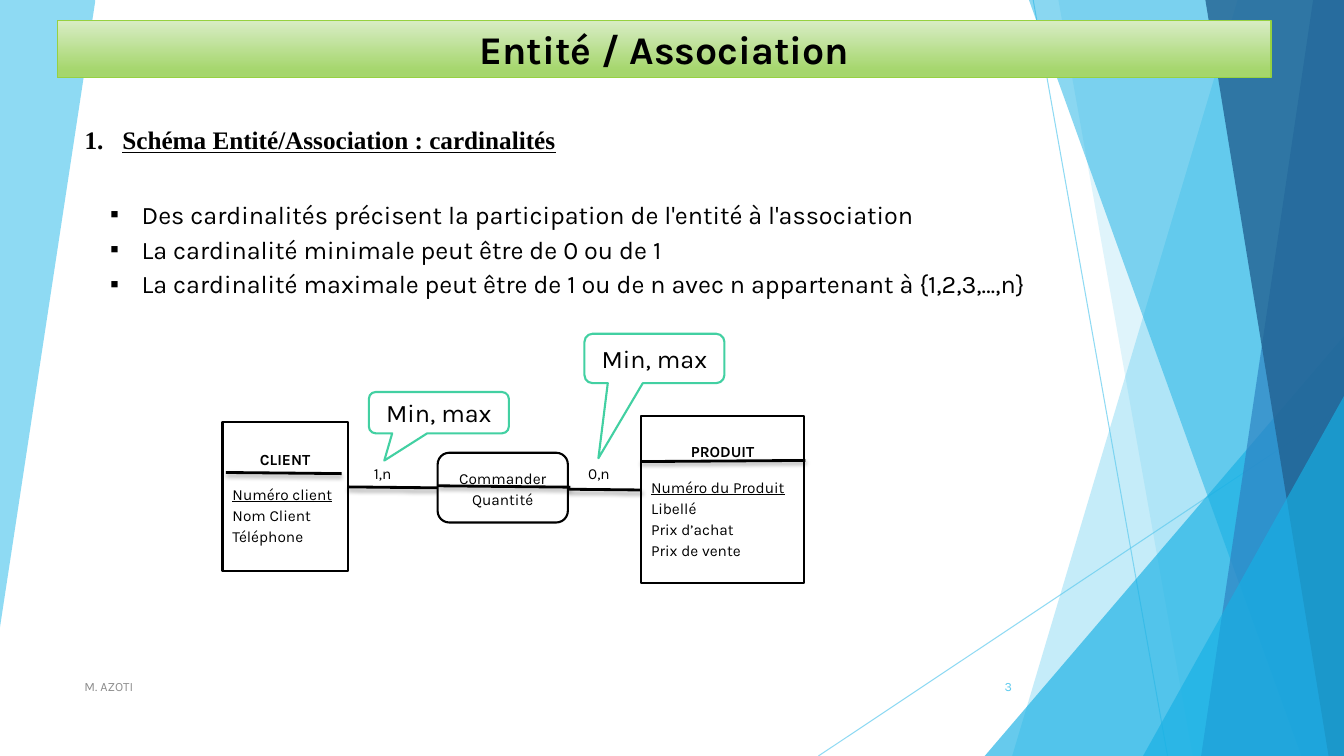
from lxml.etree import SubElement
from pptx import Presentation
from pptx.dml.color import RGBColor
from pptx.enum.shapes import MSO_CONNECTOR as Connector, MSO_SHAPE as Preset
from pptx.enum.text import MSO_ANCHOR as Anchor, MSO_AUTO_SIZE as AutoSize, PP_ALIGN as Align
from pptx.oxml.ns import qn
from pptx.util import Pt

WIDTH, HEIGHT = 960, 540
COLORS = {
    "black": "000000", "white": "FFFFFF", "grey": "8C8C8C",
    "sky": "5FCBEF", "azure": "17B0E4", "blue": "2E83C3", "navy": "226292",
    "mint": "42D0A2", "lime": "96D141", "lime_pale": "D8ECC5", "lime_mid": "A5D66C",
}


def rgb(name):
    return RGBColor.from_string(COLORS[name])


def set_alpha(element, percent):
    for color in element.iter(qn("a:srgbClr")):
        SubElement(color, qn("a:alpha"), val=str(percent * 1000))


class Board:
    """Draws styled elements on one slide, all lengths in points."""

    font = "Karla"

    def __init__(self, slide):
        self.slide = slide
        self.shapes = slide.shapes

    def place(self, shape, box):
        shape.left, shape.top, shape.width, shape.height = map(Pt, box)

    def paint(self, shape, fill, line=None, alpha=None):
        shape.shadow.inherit = False
        shape.fill.solid()
        shape.fill.fore_color.rgb = rgb(fill)
        if alpha:
            set_alpha(shape.element.spPr, alpha)
        if line:
            shape.line.color.rgb = rgb(line)
            shape.line.width = Pt(1.5)
        else:
            shape.line.fill.background()
        return shape

    def polygon(self, points, fill, alpha):
        start, *others = [(Pt(x), Pt(y)) for x, y in points]
        builder = self.shapes.build_freeform(*start)
        builder.add_line_segments(others, close=True)
        self.paint(builder.convert_to_shape(), fill, alpha=alpha)

    def preset(self, kind, box, fill="white", line=None, alpha=None, adjustments=()):
        shape = self.shapes.add_shape(kind, *map(Pt, box))
        for index, value in enumerate(adjustments):
            shape.adjustments[index] = value
        return self.paint(shape, fill, line, alpha)

    def line(self, start, end, color="black", width=2, alpha=None, shadow=True):
        connector = self.shapes.add_connector(Connector.STRAIGHT, *map(Pt, start + end))
        connector.line.color.rgb = rgb(color)
        connector.line.width = Pt(width)
        properties = connector.element.spPr
        if alpha:
            set_alpha(properties, alpha)
        effects = SubElement(properties, qn("a:effectLst"))
        if shadow:
            outer = SubElement(effects, qn("a:outerShdw"), blurRad=str(Pt(3)), dist=str(Pt(2)),
                               dir="5400000", rotWithShape="0")
            SubElement(outer, qn("a:srgbClr"), val=COLORS["black"])
            set_alpha(outer, 35)

    def run(self, paragraph, text, size, color="black", bold=False, underline=False, font=None):
        run = paragraph.add_run()
        run.text = text
        run.font.name = font or self.font
        run.font.size = Pt(size)
        run.font.color.rgb = rgb(color)
        run.font.bold = bold
        run.font.underline = underline

    def paragraph(self, shape, first=True, align=Align.LEFT, spacing=1.0, after=0):
        frame = shape.text_frame
        paragraph = frame.paragraphs[0] if first else frame.add_paragraph()
        paragraph.alignment = align
        paragraph.line_spacing = spacing
        paragraph.space_before = Pt(0)
        paragraph.space_after = Pt(after)
        return paragraph

    def bullet(self, paragraph, indent, tag, **attributes):
        properties = paragraph._p.get_or_add_pPr()
        properties.set("marL", str(Pt(indent)))
        properties.set("indent", str(Pt(-indent)))
        SubElement(properties, qn(f"a:{tag}"), **attributes)

    def textbox(self, box, anchor=Anchor.TOP):
        textbox = self.shapes.add_textbox(*map(Pt, box))
        textbox.text_frame.word_wrap = True
        textbox.text_frame.vertical_anchor = anchor
        return textbox

    def title(self, text, box):
        banner = self.shapes.title
        self.place(banner, box)
        banner.fill.gradient()
        banner.fill.gradient_angle = 270
        for stop, position, color in zip(banner.fill.gradient_stops, (0, 0.88),
                                         ("lime_pale", "lime_mid")):
            stop.position = position
            stop.color.rgb = rgb(color)
        banner.line.color.rgb = rgb("lime")
        banner.line.width = Pt(1)
        banner.text_frame.auto_size = AutoSize.NONE
        banner.text_frame.vertical_anchor = Anchor.MIDDLE
        self.run(self.paragraph(banner, align=Align.CENTER), text, 28, bold=True)
        banner.element.getparent().append(banner.element)

    def bullets(self, items, box):
        body = self.slide.placeholders[1]
        self.place(body, box)
        body.text_frame.auto_size = AutoSize.NONE
        for index, item in enumerate(items):
            paragraph = self.paragraph(body, index == 0, Align.JUSTIFY, 1.15)
            self.bullet(paragraph, 22.5, "buChar", char="▪")
            self.run(paragraph, item, 18)
        body.element.getparent().append(body.element)

    def heading(self, text, box):
        paragraph = self.paragraph(self.textbox(box), align=Align.JUSTIFY, spacing=1.15, after=5)
        self.bullet(paragraph, 27, "buAutoNum", type="arabicPeriod")
        self.run(paragraph, text, 18, bold=True, underline=True, font="Times New Roman")

    def label(self, text, box, size=9, color="grey", align=Align.LEFT, anchor=Anchor.MIDDLE,
              **spacing):
        paragraph = self.paragraph(self.textbox(box, anchor), align=align, **spacing)
        self.run(paragraph, text, size, color)

    def lines(self, paragraph, texts, underline_first=False):
        for index, text in enumerate(texts):
            if index:
                paragraph.add_line_break()
            self.run(paragraph, text, 11, underline=underline_first and index == 0)

    def entity(self, name, attributes, box):
        entity = self.preset(Preset.RECTANGLE, box, line="black")
        header = self.paragraph(entity, align=Align.CENTER, spacing=1.15, after=10)
        self.run(header, name, 11, bold=True)
        details = self.paragraph(entity, first=False, spacing=1.15, after=10)
        self.lines(details, attributes, underline_first=True)

    def association(self, texts, box):
        association = self.preset(Preset.FLOWCHART_ALTERNATE_PROCESS, box, line="black")
        self.lines(self.paragraph(association, align=Align.CENTER, spacing=1.15, after=10), texts)

    def callout(self, text, box, tip):
        callout = self.preset(Preset.ROUNDED_RECTANGULAR_CALLOUT, box, line="mint",
                              adjustments=(*tip, 0.167))
        self.run(self.paragraph(callout, align=Align.CENTER), text, 18)


def draw_backdrop(board):
    def band(top, bottom, color, alpha):
        """Fill from a slanted left edge to the right side of the slide."""
        board.polygon([(top, 0), (WIDTH, 0), (WIDTH, HEIGHT), (bottom, HEIGHT)], color, alpha)

    def corner(left, top):
        board.preset(Preset.ISOSCELES_TRIANGLE, (left, top, WIDTH - left, HEIGHT - top),
                     "azure", alpha=66, adjustments=(1,))

    board.polygon([(0, 0), (68, 0), (68, 1), (0, 448)], "sky", 70)
    for start, end in (((738, 0), (834, HEIGHT)), ((WIDTH, 290), (584.6, HEIGHT))):
        board.line(start, end, "sky", 0.75, alpha=70, shadow=False)
    band(884, 723, "sky", 36)
    band(756, 852, "sky", 20)
    corner(703.4, 240)
    band(735, 929.5, "azure", 50)
    band(938, 858, "blue", 70)
    band(861, 949, "navy", 80)
    corner(816.5, 283)


def draw_diagram(board):
    board.entity("CLIENT", ["Numéro client", "Nom Client", "Téléphone"], (159, 301.7, 89.4, 106))
    board.line((161.3, 337.5), (244, 338.3))
    board.entity("PRODUIT", ["Numéro du Produit", "Libellé", "Prix d’achat", "Prix de vente"],
                 (458, 297.3, 116.5, 119.4))
    board.line((248.5, 347.8), (458.5, 350))
    board.association(["Commander", "Quantité"], (312.6, 323.4, 93, 49.8))
    board.line((313, 347), (407.5, 348))
    board.line((458, 329.7), (575.3, 328.9))
    for cardinality, left in (("1,n", 260), ("0,n", 413)):
        board.label(cardinality, (left, 326, 33.2, 34.6), 11, "black", anchor=Anchor.TOP,
                    spacing=1.15, after=10)
    board.callout("Min, max", (263.5, 280, 100, 29.5), (-0.39, 1.16))
    board.callout("Min, max", (417.5, 238.4, 100, 35.3), (-0.4, 2.02))


def main():
    deck = Presentation()
    deck.slide_width, deck.slide_height = Pt(WIDTH), Pt(HEIGHT)
    board = Board(deck.slides.add_slide(deck.slide_layouts[1]))
    draw_backdrop(board)
    board.heading("Schéma Entité/Association : cardinalités", (53.3, 82, 400, 32.4))
    board.bullets([
        "Des cardinalités précisent la participation de l'entité à l'association",
        "La cardinalité minimale peut être de 0 ou de 1",
        "La cardinalité maximale peut être de 1 ou de n avec n appartenant à {1,2,3,…,n}",
    ], (71.5, 135.4, 820, 83))
    board.title("Entité / Association", (41, 14.5, 867, 41))
    board.label("M. AZOTI", (53.3, 476, 496, 28.8))
    board.label("3", (676, 476, 54, 28.8), color="sky", align=Align.RIGHT)
    draw_diagram(board)
    deck.save("out.pptx")


if __name__ == "__main__":
    main()
